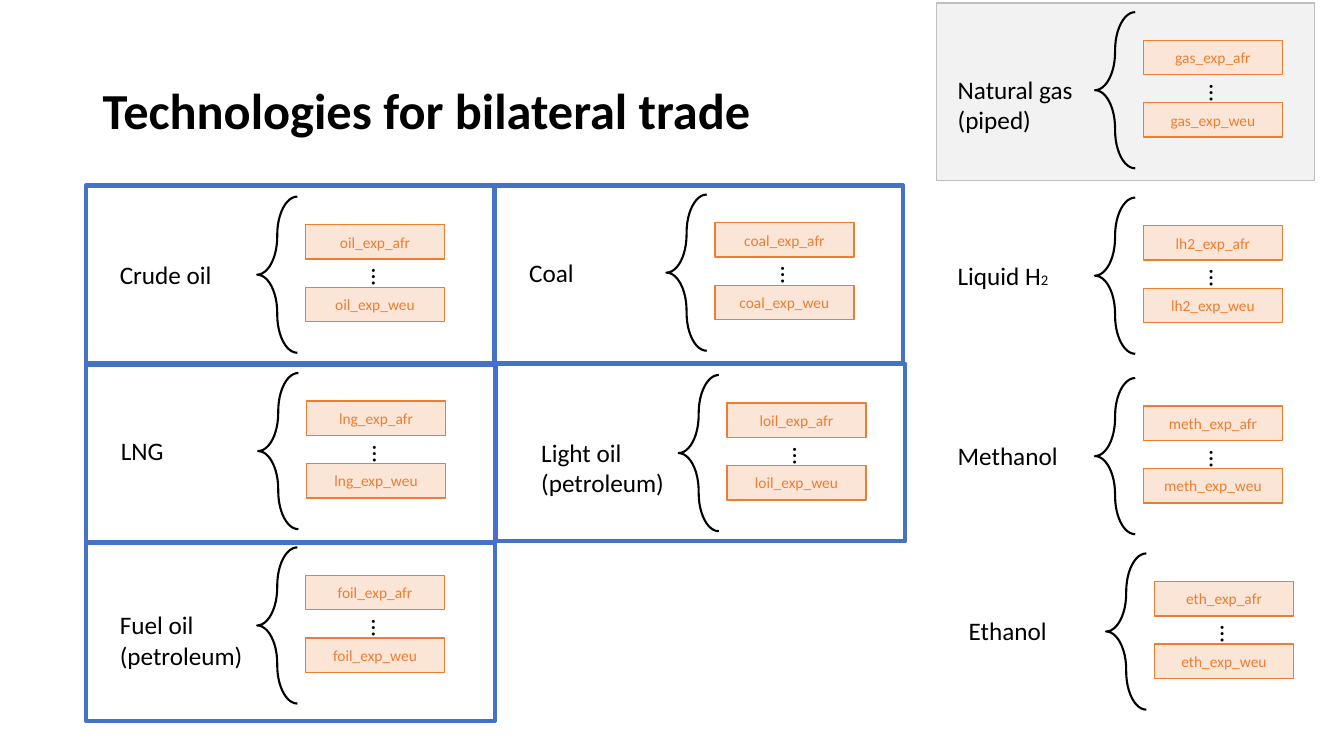
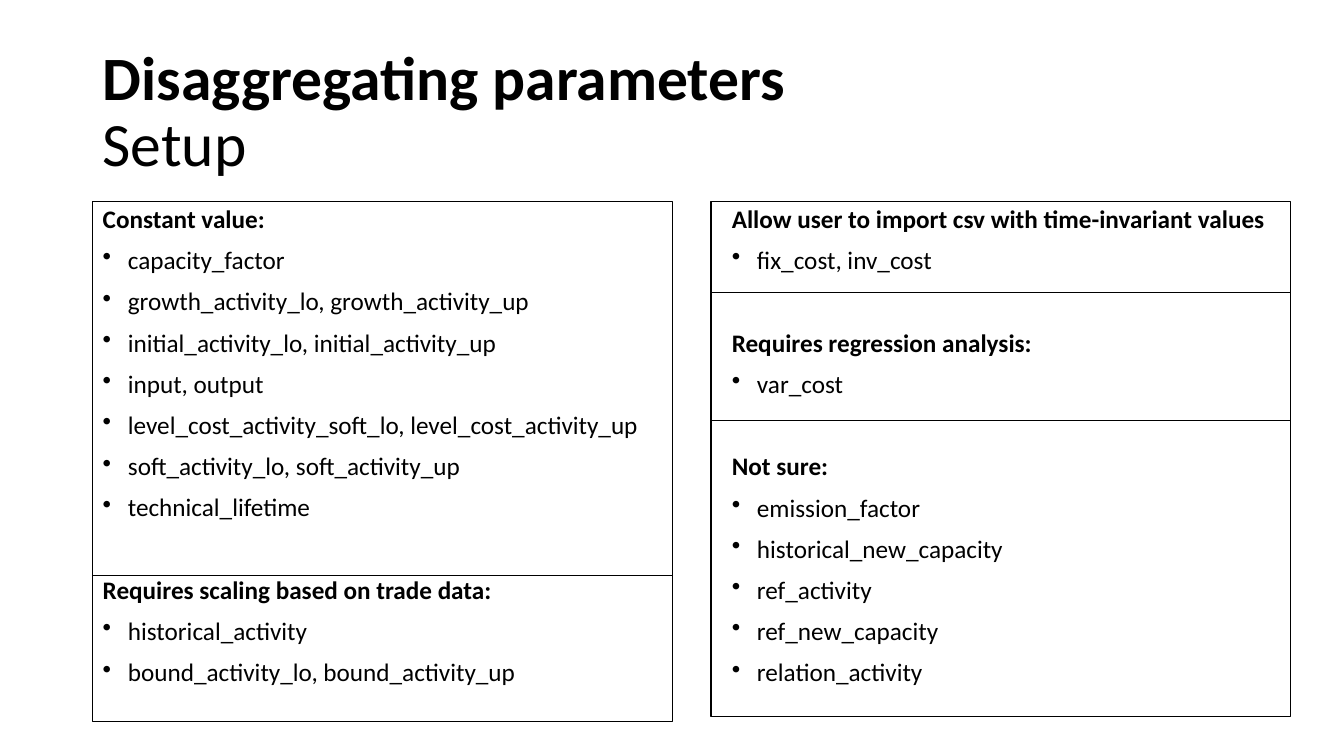
"""Build two slides on bilateral trade technologies and their parameters."""
from dataclasses import dataclass

from lxml import etree
from pptx import Presentation
from pptx.dml.color import RGBColor
from pptx.enum.shapes import MSO_SHAPE
from pptx.enum.text import MSO_ANCHOR, MSO_AUTO_SIZE, PP_ALIGN
from pptx.oxml.ns import qn
from pptx.presentation import Presentation as Deck
from pptx.shapes.autoshape import Shape
from pptx.shapes.shapetree import GroupShapes, SlideShapes
from pptx.slide import Slide
from pptx.text.text import TextFrame, _Paragraph
from pptx.util import Emu, Pt

RECTANGLE = MSO_SHAPE.RECTANGLE
LEFT_BRACE = MSO_SHAPE.LEFT_BRACE
MIDDLE = MSO_ANCHOR.MIDDLE
CENTER = PP_ALIGN.CENTER
LEFT = PP_ALIGN.LEFT
GROW = MSO_AUTO_SIZE.SHAPE_TO_FIT_TEXT

EMU_PER_PX = 9144
FONT = "Calibri"
BLACK = "000000"
ORANGE = "ED7D31"
PEACH = "FBE5D6"
BLUE = "4472C4"
PALE_GREY = "F2F2F2"
GREY = "BFBFBF"
BODY_SIZE = 18
LINE_SPACING = 0.9
ITEM_GAP = 10
SECTION_GAP = 39.5
BULLET_INDENT = 25

Shapes = SlideShapes | GroupShapes


@dataclass(frozen=True)
class Box:
    left: int
    top: int
    width: int
    height: int


@dataclass(frozen=True)
class Technology:
    code: str
    label: tuple[str, ...]
    left: int
    top: int
    subscript: str = ""


@dataclass(frozen=True)
class Section:
    heading: str
    items: tuple[str, ...]
    gap_before: float = SECTION_GAP


@dataclass(frozen=True)
class Column:
    text_area: Box
    frame_left: int
    frame_edges: tuple[int, ...]
    sections: tuple[Section, ...]


TITLE_AREA = Box(92, 40, 1150, 145)
PIPED_FRAME = Box(929, 3, 375, 176)
BILATERAL_FRAMES = tuple(
    Box(left, top, 406, 176)
    for left, top in ((85, 184), (85, 362), (85, 539), (492, 361), (490, 184))
)
SECTION_WIDTH = 575

TECHNOLOGIES = (
    Technology("gas", ("Natural gas", "(piped)"), 1086, 12),
    Technology("oil", ("Crude oil",), 255, 195),
    Technology("coal", ("Coal",), 661, 193),
    Technology("lng", ("LNG",), 256, 370),
    Technology("eth", ("Ethanol",), 1097, 549),
    Technology("foil", ("Fuel oil", "(petroleum)"), 255, 543),
    Technology("meth", ("Methanol",), 1086, 375),
    Technology("loil", ("Light oil", "(petroleum)"), 673, 372),
    Technology("lh2", ("Liquid H",), 1086, 196, "2"),
)

COLUMNS = (
    Column(Box(92, 200, 588, 532), 92, (200, 571, 716), (
        Section("Constant value:", (
            "capacity_factor",
            "growth_activity_lo, growth_activity_up",
            "initial_activity_lo, initial_activity_up",
            "input, output",
            "level_cost_activity_soft_lo, level_cost_activity_up",
            "soft_activity_lo, soft_activity_up",
            "technical_lifetime",
        ), ITEM_GAP),
        Section("Requires scaling based on trade data:", (
            "historical_activity",
            "bound_activity_lo, bound_activity_up",
        )),
    )),
    Column(Box(716, 200, 554, 517), 705, (200, 290, 417, 711), (
        Section("Allow user to import csv with time-invariant values",
                ("fix_cost, inv_cost",), ITEM_GAP),
        Section("Requires regression analysis:", ("var_cost",)),
        Section("Not sure:", (
            "emission_factor",
            "historical_new_capacity",
            "ref_activity",
            "ref_new_capacity",
            "relation_activity",
        )),
    )),
)


def px(length: int) -> Emu:
    """Turn a length in px into EMU."""
    return Emu(length * EMU_PER_PX)


def rgb(color: str) -> RGBColor:
    """Turn a hex string into a colour."""
    return RGBColor.from_string(color)


def place(box: Box) -> tuple[Emu, Emu, Emu, Emu]:
    """Give the position and size of a box in EMU."""
    return px(box.left), px(box.top), px(box.width), px(box.height)


def add_outline(shapes: Shapes, box: Box, color: str, weight: float,
                fill: str = "", kind: MSO_SHAPE = RECTANGLE) -> Shape:
    """Draw an outlined preset shape, filled only when a fill is given."""
    outline = shapes.add_shape(kind, *place(box))
    outline.shadow.inherit = False
    outline.line.color.rgb = rgb(color)
    outline.line.width = Pt(weight)
    if fill:
        outline.fill.solid()
        outline.fill.fore_color.rgb = rgb(fill)
    else:
        outline.fill.background()
    return outline


def add_text_area(shapes: Shapes, box: Box) -> TextFrame:
    """Add a wrapping text box and give its frame."""
    frame = shapes.add_textbox(*place(box)).text_frame
    frame.word_wrap = True
    return frame


def write_line(frame: TextFrame, text: str, size: float = BODY_SIZE,
               color: str = BLACK, bold: bool = False,
               align: PP_ALIGN = LEFT) -> _Paragraph:
    """Write one paragraph, using the first one while it is empty."""
    line = frame.paragraphs[0]
    if line.runs:
        line = frame.add_paragraph()
    line.add_run().text = text
    line.alignment = align
    line.font.name = FONT
    line.font.size = Pt(size)
    line.font.bold = bold
    line.font.color.rgb = rgb(color)
    return line


def add_bullet(line: _Paragraph) -> None:
    """Give a paragraph a hanging bullet."""
    properties = line._p.get_or_add_pPr()
    properties.set("marL", str(px(BULLET_INDENT)))
    properties.set("indent", str(-px(BULLET_INDENT)))
    bullet = etree.Element(qn("a:buChar"), char="•")
    properties.find(qn("a:defRPr")).addprevious(bullet)


def add_title(slide: Slide, size: int, title: str, subtitle: str = "") -> None:
    """Write the bold title and an optional plain second line."""
    frame = add_text_area(slide.shapes, TITLE_AREA)
    frame.vertical_anchor = MIDDLE
    write_line(frame, title, size, bold=True).line_spacing = LINE_SPACING
    if subtitle:
        write_line(frame, subtitle, size).line_spacing = LINE_SPACING


def add_technology(slide: Slide, technology: Technology) -> None:
    """Draw a label, its brace and the first and last regional exports."""
    shapes = slide.shapes.add_group_shape().shapes
    left, top = technology.left, technology.top
    for region, offset in (("afr", 28), ("weu", 90)):
        export = add_outline(shapes, Box(left + 48, top + offset, 138, 34),
                             ORANGE, 1, PEACH).text_frame
        export.vertical_anchor = MIDDLE
        write_line(export, f"{technology.code}_exp_{region}", 11, ORANGE,
                   align=CENTER)

    dots = add_text_area(shapes, Box(left + 99, top + 62, 50, 26))
    dots.vertical_anchor = MIDDLE
    dots.auto_size = GROW
    dots._txBody.bodyPr.set("vert", "vert")
    write_line(dots, "…", align=CENTER)

    label_height = 9 + 31 * len(technology.label)
    label = add_text_area(shapes, Box(left - 146, top + 57, 166, label_height))
    for text in technology.label:
        line = write_line(label, text)
    if technology.subscript:
        subscript = line.add_run()
        subscript.text = technology.subscript
        subscript.font.size = Pt(10.5)

    brace = add_outline(shapes, Box(left, top, 40, 155), BLACK, 1.5,
                        kind=LEFT_BRACE)
    brace.adjustments[0] = 0.95
    brace.adjustments[1] = 0.5


def add_column(slide: Slide, column: Column) -> None:
    """Write the parameter sections of a column and frame each one."""
    frame = add_text_area(slide.shapes, column.text_area)
    for section in column.sections:
        heading = write_line(frame, section.heading, bold=True)
        heading.line_spacing = LINE_SPACING
        heading.space_before = Pt(section.gap_before)
        for parameter in section.items:
            item = write_line(frame, parameter)
            item.line_spacing = LINE_SPACING
            item.space_before = Pt(ITEM_GAP)
            add_bullet(item)
    for top, bottom in zip(column.frame_edges, column.frame_edges[1:]):
        section_box = Box(column.frame_left, top, SECTION_WIDTH, bottom - top)
        add_outline(slide.shapes, section_box, BLACK, 1)


def add_blank_slide(deck: Deck) -> Slide:
    """Add a slide with the blank layout."""
    return deck.slides.add_slide(deck.slide_layouts[6])


def build_technologies(deck: Deck) -> None:
    """Build the overview of trade technologies."""
    slide = add_blank_slide(deck)
    add_outline(slide.shapes, PIPED_FRAME, GREY, 1, PALE_GREY)
    add_title(slide, 36, "Technologies for bilateral trade")
    for technology in TECHNOLOGIES:
        add_technology(slide, technology)
    for box in BILATERAL_FRAMES:
        add_outline(slide.shapes, box, BLUE, 3)


def build_parameters(deck: Deck) -> None:
    """Build the overview of parameter groups."""
    slide = add_blank_slide(deck)
    add_title(slide, 44, "Disaggregating parameters", "Setup")
    for column in COLUMNS:
        add_column(slide, column)


def main() -> None:
    """Build and save the presentation."""
    deck = Presentation()
    deck.slide_width = px(1333)
    deck.slide_height = px(750)
    build_technologies(deck)
    build_parameters(deck)
    deck.save("out.pptx")


if __name__ == "__main__":
    main()
